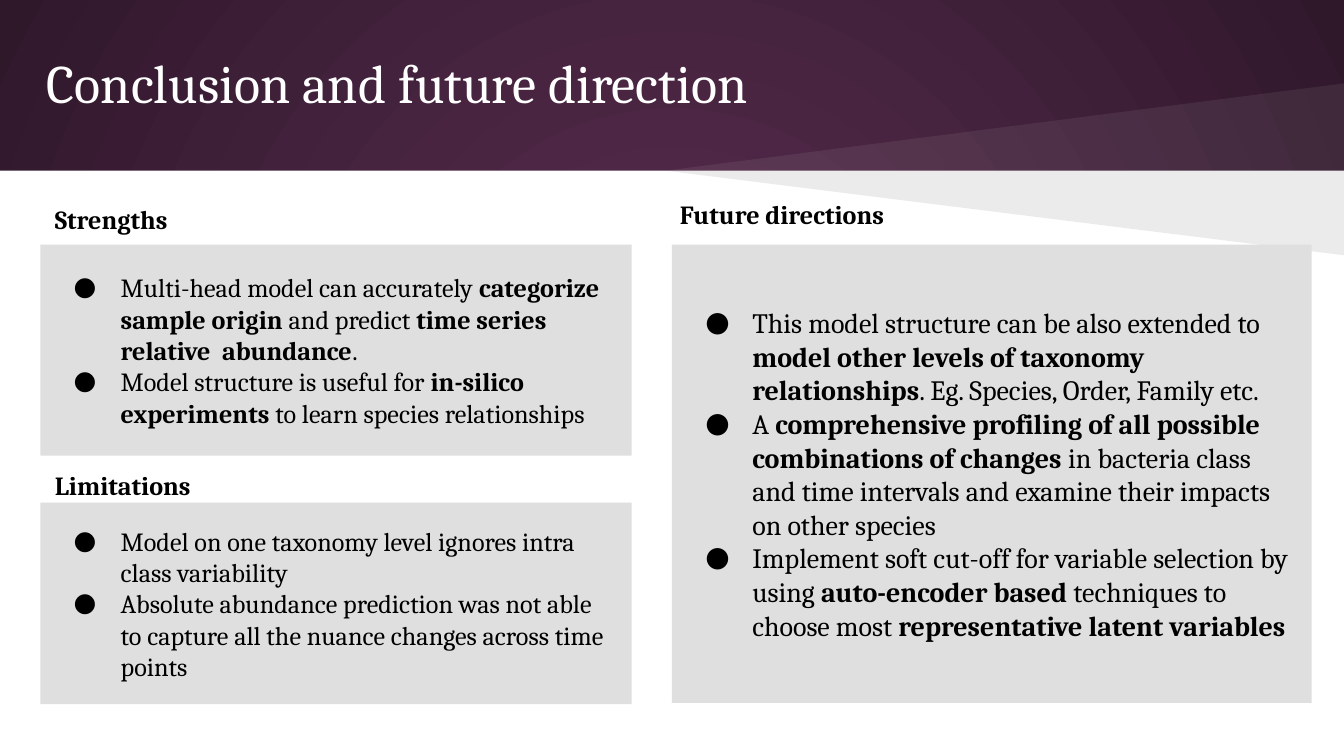
from pptx import Presentation
from pptx.dml.color import RGBColor
from pptx.enum.shapes import MSO_SHAPE
from pptx.enum.text import MSO_ANCHOR, PP_ALIGN
from pptx.oxml.ns import qn
from pptx.util import Inches, Pt
from lxml import etree

RECTANGLE = MSO_SHAPE.RECTANGLE
TOP = MSO_ANCHOR.TOP
MIDDLE = MSO_ANCHOR.MIDDLE
LEFT = PP_ALIGN.LEFT

WHITE = RGBColor(0xFF, 0xFF, 0xFF)
BLACK = RGBColor(0x00, 0x00, 0x00)
PANEL_GRAY = RGBColor(0xDF, 0xDF, 0xDF)
PLUM = RGBColor(0x59, 0x2D, 0x50)
DARK_PLUM = RGBColor(0x30, 0x18, 0x2B)

WIDTH = 10
HEIGHT = WIDTH * 9 / 16
BANNER_BOTTOM = 1.27
WEDGE_LEFT = 4.95
LEFT_PANEL = 0.3
RIGHT_PANEL = 5
PANEL_TOP = 1.82

STRENGTHS = [
    "Multi-head model can accurately **categorize sample origin **and predict "
    "**time series relative  abundance**.",
    "Model structure is useful for **in-silico experiments **to learn species relationships",
]
LIMITATIONS = [
    "Model on one taxonomy level ignores intra class variability",
    "Absolute abundance prediction was not able to capture all the nuance changes "
    "across time points",
]
FUTURE_DIRECTIONS = [
    "This model structure can be also extended to **model other levels of taxonomy "
    "relationships**. Eg. Species, Order, Family etc.",
    "A **comprehensive profiling of all possible combinations of changes **in bacteria "
    "class and time intervals and examine their impacts on other species",
    "Implement soft cut-off for variable selection by using **auto-encoder based "
    "**techniques to choose most **representative latent variables**",
]


def add_bullet(para, size, font):
    properties = para._p.get_or_add_pPr()
    properties.set("marL", str(Inches(0.5)))
    properties.set("indent", str(Inches(-0.35)))
    color = etree.SubElement(properties, qn("a:buClr"))
    etree.SubElement(color, qn("a:srgbClr"), val=str(BLACK))
    etree.SubElement(properties, qn("a:buSzPts"), val=str(size * 100))
    etree.SubElement(properties, qn("a:buFont"), typeface=font)
    etree.SubElement(properties, qn("a:buChar"), char="●")


def write_text(frame, lines, size=14, color=BLACK, bold=False, bullets=False,
               anchor=TOP, font="Cambria"):
    frame.word_wrap = True
    frame.vertical_anchor = anchor
    frame.margin_left = frame.margin_right = Inches(0.1)
    frame.margin_top = frame.margin_bottom = Inches(0.1)
    for index, line in enumerate(lines):
        para = frame.add_paragraph() if index else frame.paragraphs[0]
        para.alignment = LEFT
        if bullets:
            add_bullet(para, size, font)
        for position, part in enumerate(line.split("**")):
            if part:
                span = para.add_run()
                span.text = part
                span.font.name = font
                span.font.size = Pt(size)
                span.font.bold = bold or position % 2 == 1
                span.font.color.rgb = color


class SlideBuilder:
    def __init__(self, slide):
        self.slide = slide
        self.shapes = slide.shapes

    def background(self, center, edge):
        fill = self.slide.background.fill
        fill.gradient()
        for stop, color in zip(fill.gradient_stops, (center, edge)):
            stop.color.rgb = color
        gradient = self.slide._element.find(".//" + qn("a:gradFill"))
        gradient.remove(gradient.find(qn("a:lin")))
        circle = etree.SubElement(gradient, qn("a:path"), path="circle")
        etree.SubElement(circle, qn("a:fillToRect"),
                         l="50000", t="50000", r="50000", b="50000")

    def finish(self, shape, color):
        shape.shadow.inherit = False
        shape.fill.solid()
        shape.fill.fore_color.rgb = color
        shape.line.fill.background()

    def rectangle(self, left, top, width, height, color):
        box = self.shapes.add_shape(RECTANGLE, Inches(left), Inches(top),
                                    Inches(width), Inches(height))
        self.finish(box, color)
        return box

    def wedge(self, tip_y, color, opacity):
        base = Inches(BANNER_BOTTOM)
        builder = self.shapes.build_freeform(Inches(WIDTH), base)
        builder.add_line_segments([(Inches(WEDGE_LEFT), base),
                                   (Inches(WIDTH), Inches(tip_y))])
        wedge = builder.convert_to_shape()
        self.finish(wedge, color)
        tint = wedge._element.spPr.find(qn("a:solidFill"))[0]
        etree.SubElement(tint, qn("a:alpha"), val=str(opacity * 1000))

    def panel(self, left, top, width, height, lines, size=14):
        box = self.rectangle(left, top, width, height, PANEL_GRAY)
        write_text(box.text_frame, lines, size=size, bullets=True, anchor=MIDDLE)

    def label(self, left, top, width, height, text, **style):
        box = self.shapes.add_textbox(Inches(left), Inches(top),
                                      Inches(width), Inches(height))
        write_text(box.text_frame, [text], **style)


def main():
    deck = Presentation()
    deck.slide_width, deck.slide_height = Inches(WIDTH), Inches(HEIGHT)
    page = SlideBuilder(deck.slides.add_slide(deck.slide_layouts[6]))

    page.background(PLUM, DARK_PLUM)
    page.rectangle(0, BANNER_BOTTOM, WIDTH, HEIGHT - BANNER_BOTTOM, WHITE)
    page.wedge(0.62, WHITE, 7)
    page.wedge(1.9, BLACK, 8)
    page.label(0.25, 0.14, 9, 0.94, "Conclusion and future direction",
               size=29, color=WHITE, anchor=MIDDLE)

    page.panel(LEFT_PANEL, PANEL_TOP, 4.4, 1.57, STRENGTHS)
    page.panel(LEFT_PANEL, 3.74, 4.4, 1.5, LIMITATIONS)
    page.panel(RIGHT_PANEL, PANEL_TOP, 4.76, 3.41, FUTURE_DIRECTIONS, size=15)

    for left, top, width, heading in (
        (0.31, 1.41, 1.87, "Strengths"),
        (0.31, 3.39, 1.87, "Limitations"),
        (4.96, 1.38, 2.28, "Future directions"),
    ):
        page.label(left, top, width, 0.44, heading, bold=True)

    deck.save("out.pptx")


if __name__ == "__main__":
    main()
